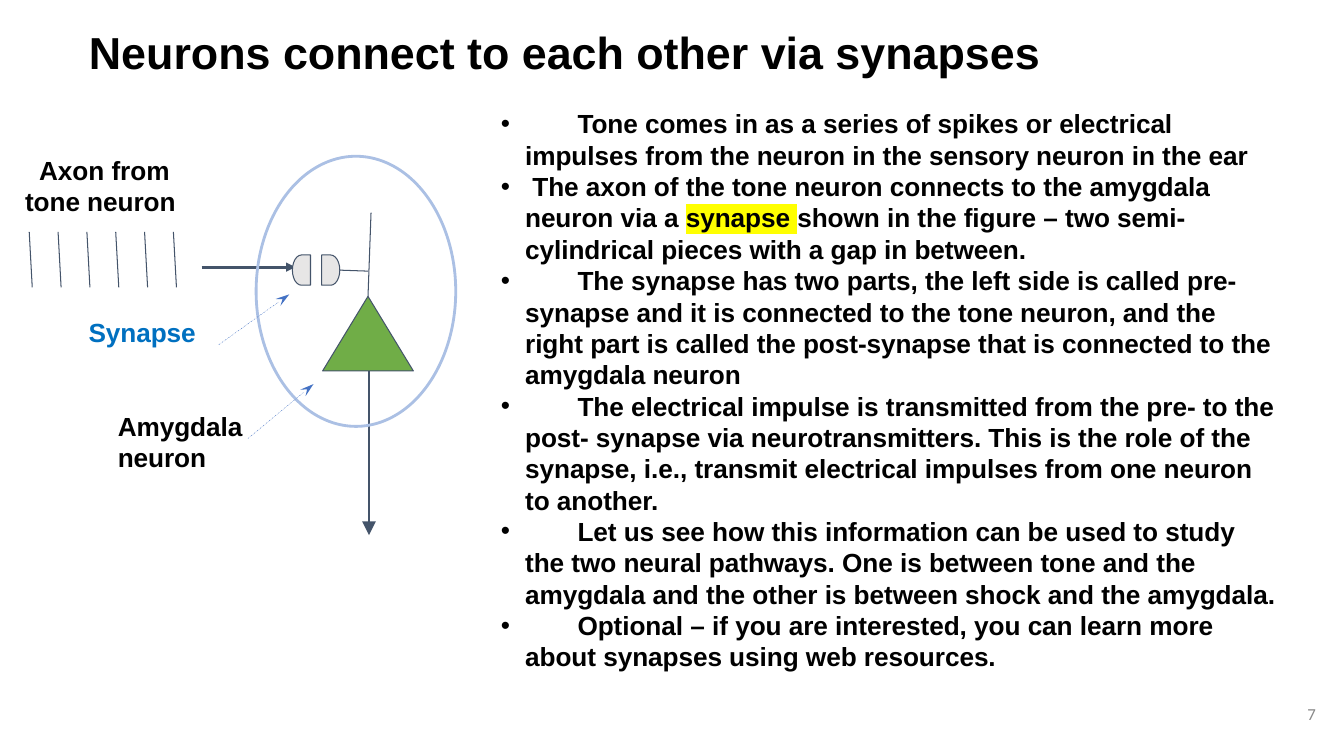
import pptx
import pptx.util
import pptx.dml.color
import pptx.enum.dml
import pptx.enum.shapes
import pptx.enum.text
import pptx.oxml
import lxml.etree

Inches = pptx.util.Inches
RGBColor = pptx.dml.color.RGBColor
Shape = pptx.enum.shapes.MSO_SHAPE
Align = pptx.enum.text.PP_ALIGN
Anchor = pptx.enum.text.MSO_ANCHOR
qn = pptx.oxml.ns.qn

BLACK = RGBColor(0x00, 0x00, 0x00)
GREY = RGBColor(0x88, 0x88, 0x88)
SLATE = RGBColor(0x44, 0x54, 0x6A)
GREEN = RGBColor(0x70, 0xAD, 0x47)
SILVER = RGBColor(0xE7, 0xE6, 0xE6)
PALE_BLUE = RGBColor(0xAB, 0xC0, 0xE4)
POINTER_BLUE = RGBColor(0x44, 0x72, 0xC4)
SYNAPSE_BLUE = RGBColor(0x00, 0x70, 0xC0)
HIGHLIGHT = RGBColor(0xFF, 0xFF, 0x00)
BODY_SIZE = 18.67

deck = pptx.Presentation()
deck.slide_width = Inches(13.33)
deck.slide_height = Inches(7.5)
page = deck.slides.add_slide(deck.slide_layouts[5])


def add_span(para, text, size=BODY_SIZE, color=BLACK, font="Arial", bold=True):
    span = para.add_run()
    span.text = text
    span.font.name = font
    span.font.size = pptx.util.Pt(size)
    span.font.bold = bold
    span.font.color.rgb = color
    return span


def add_line(start, end, color=SLATE, width=0.75, head=None, dash=None):
    line = page.shapes.add_connector(
        pptx.enum.shapes.MSO_CONNECTOR.STRAIGHT,
        Inches(start[0]), Inches(start[1]), Inches(end[0]), Inches(end[1]))
    line.line.color.rgb = color
    line.line.width = pptx.util.Pt(width)
    if dash:
        line.line.dash_style = dash
    if head:
        kind, breadth, length = head
        outline = line.line._get_or_add_ln()
        lxml.etree.SubElement(outline, qn("a:tailEnd"), type=kind, w=breadth, len=length)
    lxml.etree.SubElement(line._element.spPr, qn("a:effectLst"))


title = page.shapes.title
title.left, title.top = Inches(0.61), Inches(0.19)
title.width, title.height = Inches(9.99), Inches(0.64)
title.text_frame.vertical_anchor = Anchor.TOP
title.text_frame.auto_size = pptx.enum.text.MSO_AUTO_SIZE.NONE
title.text_frame.word_wrap = True
title_para = title.text_frame.paragraphs[0]
title_para.alignment = Align.CENTER
add_span(title_para, "Neurons connect to each other via synapses", 32)

number_box = page.shapes.add_textbox(Inches(12.35), Inches(6.8), Inches(0.8), Inches(0.57))
number_box.text_frame.vertical_anchor = Anchor.MIDDLE
number_box.text_frame.word_wrap = True
number_para = number_box.text_frame.paragraphs[0]
number_para.alignment = Align.RIGHT
add_span(number_para, "7", 12, GREY, "Calibri", False)

points = [
    [" \tTone comes in as a series of spikes or electrical impulses from the neuron "
     "in the sensory neuron in the ear"],
    [" The axon of the tone neuron connects to the amygdala neuron via a ",
     "synapse ",
     "shown in the figure – two semi-cylindrical pieces with a gap in between."],
    [" \tThe synapse has two parts, the left side is called pre-synapse and it is "
     "connected to the tone neuron, and the right part is called the post-synapse "
     "that is connected to the amygdala neuron"],
    [" \tThe electrical impulse is transmitted from the pre- to the post- synapse via "
     "neurotransmitters. This is the role of the synapse, i.e., transmit electrical "
     "impulses from one neuron to another."],
    [" \tLet us see how this information can be used to study the two neural pathways. "
     "One is between tone and the amygdala and the other is between shock and the "
     "amygdala."],
    [" \tOptional – if you are interested, you can learn more about synapses using "
     "web resources."],
]
body = page.shapes.add_textbox(Inches(4.87), Inches(1.02), Inches(7.9), Inches(6.39))
body.text_frame.word_wrap = True
for index, pieces in enumerate(points):
    para = body.text_frame.paragraphs[0] if index == 0 else body.text_frame.add_paragraph()
    layout = para._p.get_or_add_pPr()
    layout.set("marL", str(Inches(0.24)))
    layout.set("indent", str(-Inches(0.24)))
    bullet_color = lxml.etree.SubElement(layout, qn("a:buClr"))
    lxml.etree.SubElement(bullet_color, qn("a:srgbClr"), val=str(BLACK))
    lxml.etree.SubElement(layout, qn("a:buFont"), typeface="Arial")
    lxml.etree.SubElement(layout, qn("a:buChar"), char="•")
    tabs = lxml.etree.SubElement(layout, qn("a:tabLst"))
    lxml.etree.SubElement(tabs, qn("a:tab"), pos=str(Inches(0.76)), algn="l")
    for piece in pieces:
        span = add_span(para, piece)
        if piece == "synapse ":
            mark = lxml.etree.Element(qn("a:highlight"))
            lxml.etree.SubElement(mark, qn("a:srgbClr"), val=str(HIGHLIGHT))
            span.font._element.find(qn("a:solidFill")).addnext(mark)

for spike in range(6):
    left = 0.29 + spike * 0.286
    add_line((left, 2.3), (left + 0.03, 2.85))
add_line((2, 2.65), (2.93, 2.65), width=2.25, head=("triangle", "med", "med"))
add_line((3.65, 2.94), (3.68, 2.11))
add_line((3.37, 2.68), (3.65, 2.69))
add_line((3.66, 3.68), (3.66, 5.31), head=("triangle", "lg", "lg"))

neuron_parts = [
    (Shape.ISOSCELES_TRIANGLE, 3.2, 2.94, 0.9, 0.74, GREEN, SLATE, 0.75, False),
    (Shape.FLOWCHART_DELAY, 2.9, 2.53, 0.18, 0.3, SILVER, SLATE, 0.75, True),
    (Shape.FLOWCHART_DELAY, 3.19, 2.53, 0.18, 0.3, SILVER, SLATE, 0.75, False),
    (Shape.OVAL, 2.54, 1.55, 1.98, 2.68, None, PALE_BLUE, 2, False),
]
for kind, left, top, width, height, fill, outline, weight, flipped in neuron_parts:
    part = page.shapes.add_shape(kind, Inches(left), Inches(top), Inches(width), Inches(height))
    part.shadow.inherit = False
    if fill is None:
        part.fill.background()
    else:
        part.fill.solid()
        part.fill.fore_color.rgb = fill
    part.line.color.rgb = outline
    part.line.width = pptx.util.Pt(weight)
    if flipped:
        part._element.spPr.find(qn("a:xfrm")).set("flipH", "1")

labels = [
    ("Axon from tone neuron", 0.15, 1.48, 1.84, 0.73, BLACK, 0.14),
    ("Amygdala neuron", 1.07, 4.02, 2.12, 0.73, BLACK, 0),
    ("Synapse", 0.78, 3.09, 2.12, 0.42, SYNAPSE_BLUE, 0),
]
for text, left, top, width, height, color, indent in labels:
    box = page.shapes.add_textbox(Inches(left), Inches(top), Inches(width), Inches(height))
    box.text_frame.word_wrap = True
    para = box.text_frame.paragraphs[0]
    para._p.get_or_add_pPr().set("indent", str(Inches(indent)))
    add_span(para, text, color=color)

for start, end in [((2.46, 4.35), (3.11, 3.81)), ((2.17, 3.42), (2.87, 2.92))]:
    add_line(start, end, POINTER_BLUE, 0.25, ("stealth", "med", "lg"),
             pptx.enum.dml.MSO_LINE.DASH_DOT)

deck.save("out.pptx")
